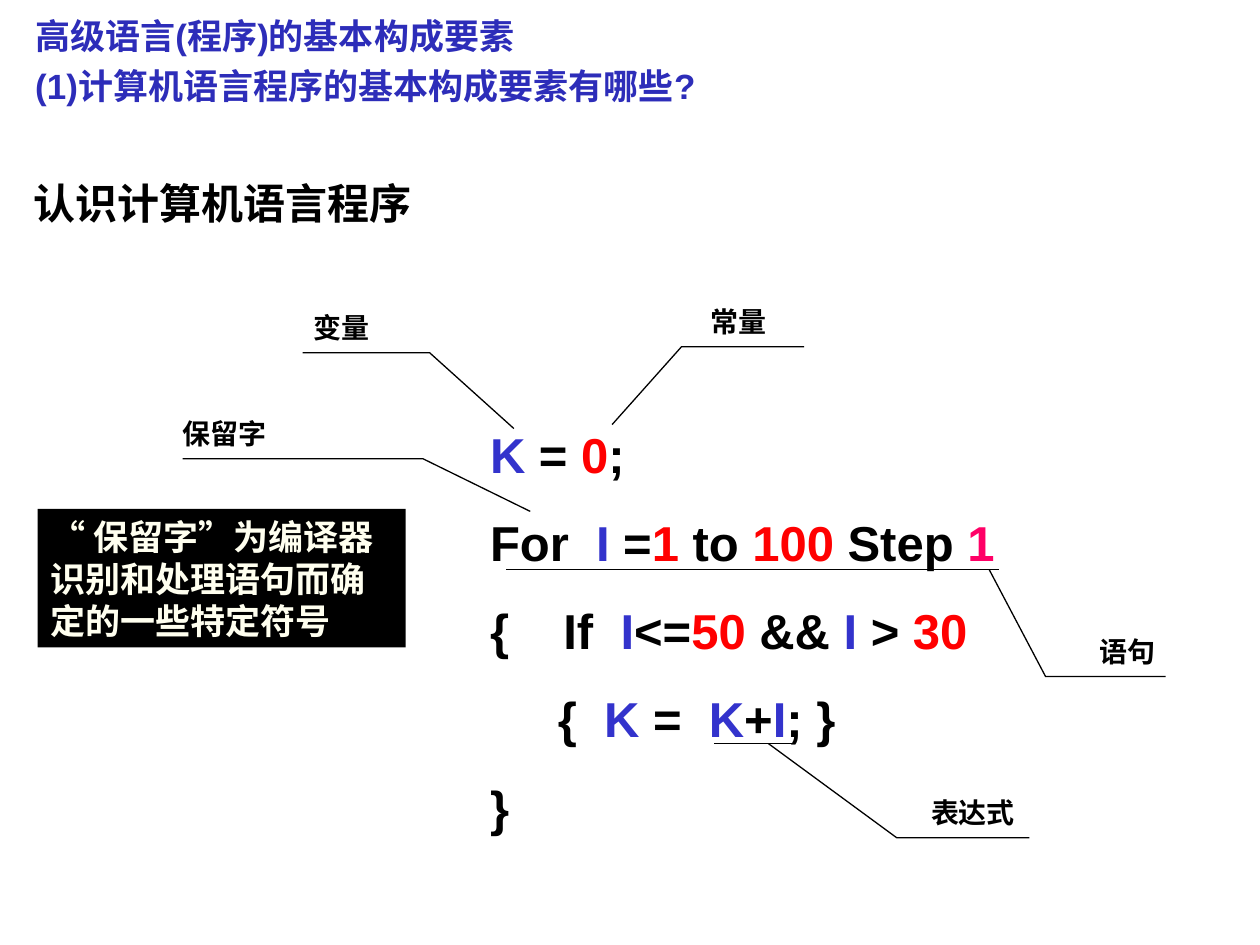
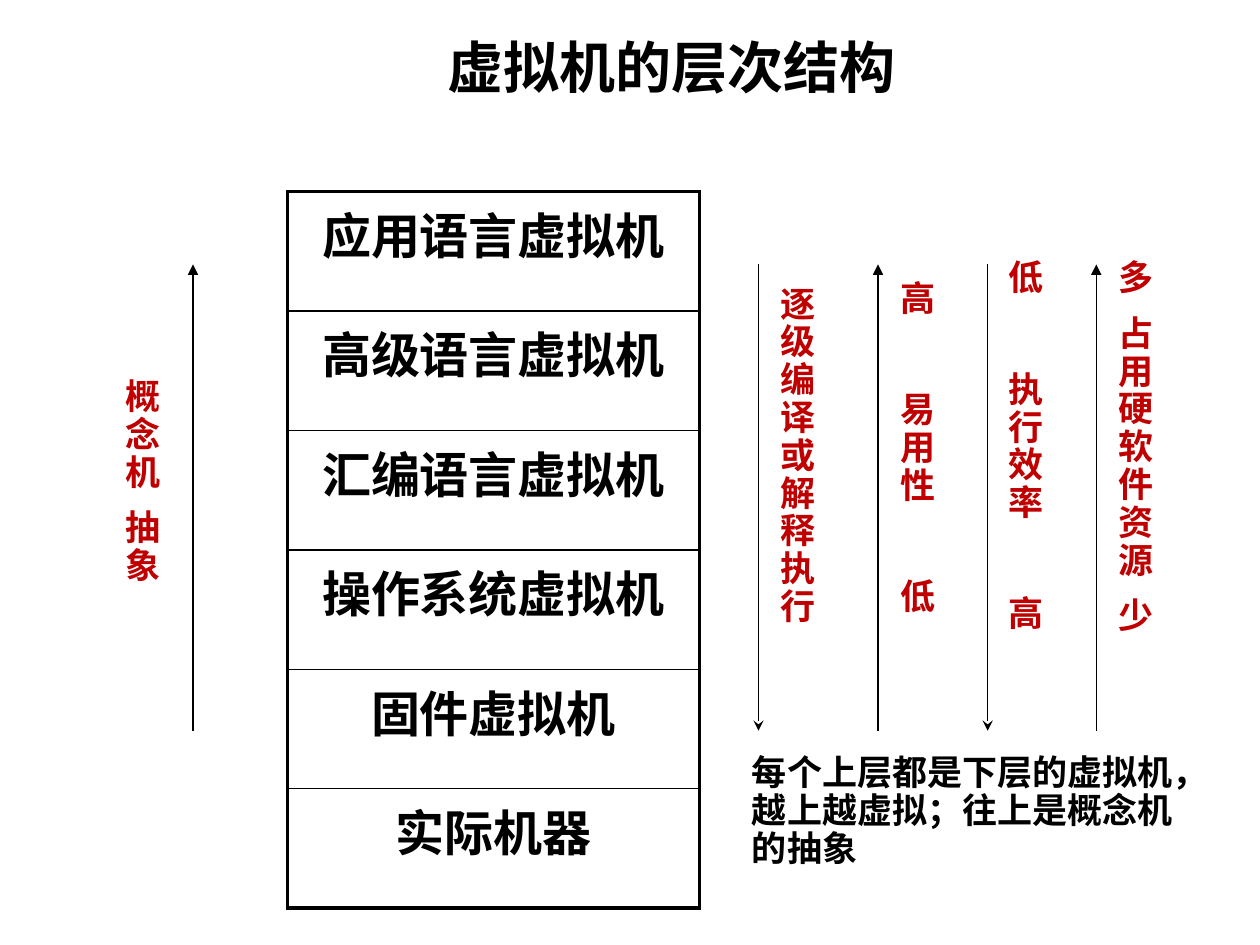
from lxml.etree import SubElement as Sub
from pptx import Presentation
from pptx.dml.color import RGBColor as RGB
from pptx.enum.shapes import MSO_CONNECTOR as LINE, MSO_SHAPE as SHAPE
from pptx.enum.text import MSO_ANCHOR as ANCHOR, PP_ALIGN as ALIGN
from pptx.oxml.ns import qn
from pptx.util import Cm, Pt

BLACK = RGB(0x00, 0x00, 0x00)
BLUE = RGB(0x33, 0x33, 0xCC)
NAVY = RGB(0x2D, 0x2D, 0xB9)
RED = RGB(0xFF, 0x00, 0x00)
PINK = RGB(0xFF, 0x00, 0x66)
BRICK = RGB(0xC0, 0x00, 0x00)
CREAM = RGB(0xFF, 0xFF, 0xEF)
SANS, CJK, TALL, SERIF = "Arial", "Noto Sans CJK SC", "DejaVu Sans", "Times New Roman"
THIN, THICK = Pt(0.75), Pt(2.25)


def write(frame, paras, size, face=SANS, wrap=True, align=ALIGN.LEFT, lead=None, gap=0):
    """Fill a frame; each paragraph is a list of (text, colour[, font]) runs."""
    frame.word_wrap = wrap
    for i, runs in enumerate(paras):
        para = frame.paragraphs[0] if i == 0 else frame.add_paragraph()
        para.alignment = align
        para.line_spacing = lead
        if i and gap:
            para.space_before = Pt(gap)
        for text, color, *own in runs:
            run = para.add_run()
            run.text = text
            run.font.name = own[0] if own else face
            run.font.size = Pt(size)
            run.font.bold = True
            run.font.color.rgb = color


def rule(slide, *ends):
    """Draw a thin black straight line and return it."""
    line = slide.shapes.add_connector(LINE.STRAIGHT, *map(Cm, ends))
    line.line.color.rgb = BLACK
    line.line.width = THIN
    Sub(line._element.spPr, qn("a:effectLst"))
    return line


deck = Presentation()
deck.slide_width, deck.slide_height = Cm(25.4), Cm(19.05)
blank = deck.slide_layouts[6]

# Slide 1: parts of a program
slide = deck.slides.add_slide(blank)
shapes = slide.shapes

code = [
    [("K ", BLUE), ("= ", BLACK), ("0", RED), (";", BLACK)],
    [("For  ", BLACK), ("I", BLUE), (" =", BLACK), ("1", RED), (" to ", BLACK),
     ("100", RED), (" Step ", BLACK), ("1", PINK)],
    [("{    If  ", BLACK), ("I", BLUE), ("<=", BLACK), ("50 ", RED), ("&&", BLACK),
     (" I ", BLUE), ("> ", BLACK), ("30", RED)],
    [("     {", BLACK), ("  K ", BLUE), ("=  ", BLACK), ("K", BLUE), ("+", BLACK),
     ("I", BLUE), ("; }", BLACK)],
    [("}", BLACK)],
]
box = shapes.add_textbox(Cm(9.63), Cm(7.82), Cm(10.69), Cm(9.17))
box.text_frame.vertical_anchor = ANCHOR.MIDDLE
write(box.text_frame, code, 28, wrap=False, lead=1.5)

# label, its left edge, points of the leader from the code to the shelf
callouts = [
    ("保留字", 3.43, [(10.69, 10.31), (8.53, 9.25), (3.68, 9.25)]),
    ("变量", 6.07, [(10.36, 8.64), (8.66, 7.11), (6.1, 7.11)]),
    ("常量", 14.07, [(12.34, 8.56), (13.74, 6.99), (16.21, 6.99)]),
    ("语句", 21.92, [(19.94, 11.48), (21.08, 13.64), (23.5, 13.64)]),
    ("表达式", 18.52, [(15.49, 14.99), (18.08, 16.89), (20.75, 16.89)]),
]
for label, left, points in callouts:
    start, *rest = [(Cm(x), Cm(y)) for x, y in points]
    path = shapes.build_freeform(*start)
    path.add_line_segments(rest, close=False)
    leader = path.convert_to_shape()
    leader.shadow.inherit = False
    leader.fill.background()
    leader.line.color.rgb = BLACK
    leader.line.width = THIN
    place = left, points[-1][1] - 0.98, 0.55 + 0.55 * len(label), 0.94
    box = shapes.add_textbox(*map(Cm, place))
    write(box.text_frame, [[(label, BLACK)]], 16, wrap=False)

rule(slide, 10.21, 11.48, 20.14, 11.48)
rule(slide, 14.4, 14.99, 16.03, 14.99)

box = shapes.add_textbox(Cm(0.43), Cm(3.45), Cm(8.13), Cm(1.27))
write(box.text_frame, [[("认识计算机语言程序", BLACK)]], 24, wrap=False)

box = shapes.add_textbox(Cm(0.46), Cm(0), Cm(14), Cm(2.29))
heads = ["高级语言(程序)的基本构成要素", "(1)计算机语言程序的基本构成要素有哪些?"]
write(box.text_frame, [[(head, NAVY)] for head in heads], 20, wrap=False, lead=1.2)

note = shapes.add_shape(SHAPE.RECTANGLE, Cm(0.76), Cm(10.26), Cm(7.42), Cm(2.79))
note.shadow.inherit = False
note.fill.solid()
note.fill.fore_color.rgb = BLACK
note.line.fill.background()
note.text_frame.vertical_anchor = ANCHOR.TOP
write(note.text_frame, [[
    ("“ ", CREAM, CJK), ("保留字", CREAM), ("”", CREAM, CJK),
    ("为编译器识别和处理语句而确定的一些特定符号", CREAM),
]], 20)

# Slide 2: layers of virtual machines
slide = deck.slides.add_slide(blank)
shapes = slide.shapes

box = shapes.add_textbox(Cm(1.68), Cm(0), Cm(23.72), Cm(2.13))
box.text_frame.vertical_anchor = ANCHOR.BOTTOM
write(box.text_frame, [[("虚拟机的层次结构", BLACK)]], 32, SERIF, align=ALIGN.CENTER)

layers = ["应用语言虚拟机", "高级语言虚拟机", "汇编语言虚拟机",
          "操作系统虚拟机", "固件虚拟机", "实际机器"]
last = len(layers) - 1
table = shapes.add_table(len(layers), 1, Cm(5.79), Cm(3.86), Cm(8.31), Cm(14.45)).table
table.first_row = table.horz_banding = False
for i, layer in enumerate(layers):
    cell = table.cell(i, 0)
    write(cell.text_frame, [[(layer, BLACK)]], 28, align=ALIGN.CENTER)
    widths = {"L": THICK, "R": THICK, "T": Pt(1) if i else THICK,
              "B": Pt(1) if i < last else THICK}
    props = cell._tc.get_or_add_tcPr()
    for side, width in widths.items():
        edge = Sub(props, qn("a:ln" + side), w=str(width))
        Sub(Sub(edge, qn("a:solidFill")), qn("a:srgbClr"), val=str(BLACK))
    cell.fill.background()

# arrow x, text left, text top, text height, points up, gap, words
scales = [
    (3.89, 2.29, 7.52, 4.52, True, 10, ["概念机", "抽象"]),
    (15.29, 15.49, 5.66, 7.19, False, 0, ["逐级编译或解释执行"]),
    (17.7, 17.91, 5.54, 7.34, True, 42, ["高", "易用性", "低"]),
    (19.91, 20.09, 5.13, 8.13, False, 42, ["低", "执行效率", "高"]),
    (22.1, 22.3, 5.13, 8.03, True, 10, ["多", "占用硬软件资源", "少"]),
]
for x, left, top, height, up, gap, words in scales:
    arrow = rule(slide, x, 14.73, x, 5.33)
    tip, kind = ("a:tailEnd", "triangle") if up else ("a:headEnd", "stealth")
    Sub(arrow.line._get_or_add_ln(), qn(tip), type=kind)
    box = shapes.add_textbox(*map(Cm, (left, top, 1.4, height)))
    write(box.text_frame, [[(word, BRICK)] for word in words], 20, TALL, lead=0.9, gap=gap)

box = shapes.add_textbox(Cm(14.91), Cm(15.11), Cm(9.4), Cm(3.02))
write(box.text_frame, [[("每个上层都是下层的虚拟机，越上越虚拟；往上是概念机的抽象", BLACK)]],
      20, TALL, lead=0.9)

deck.save("out.pptx")
